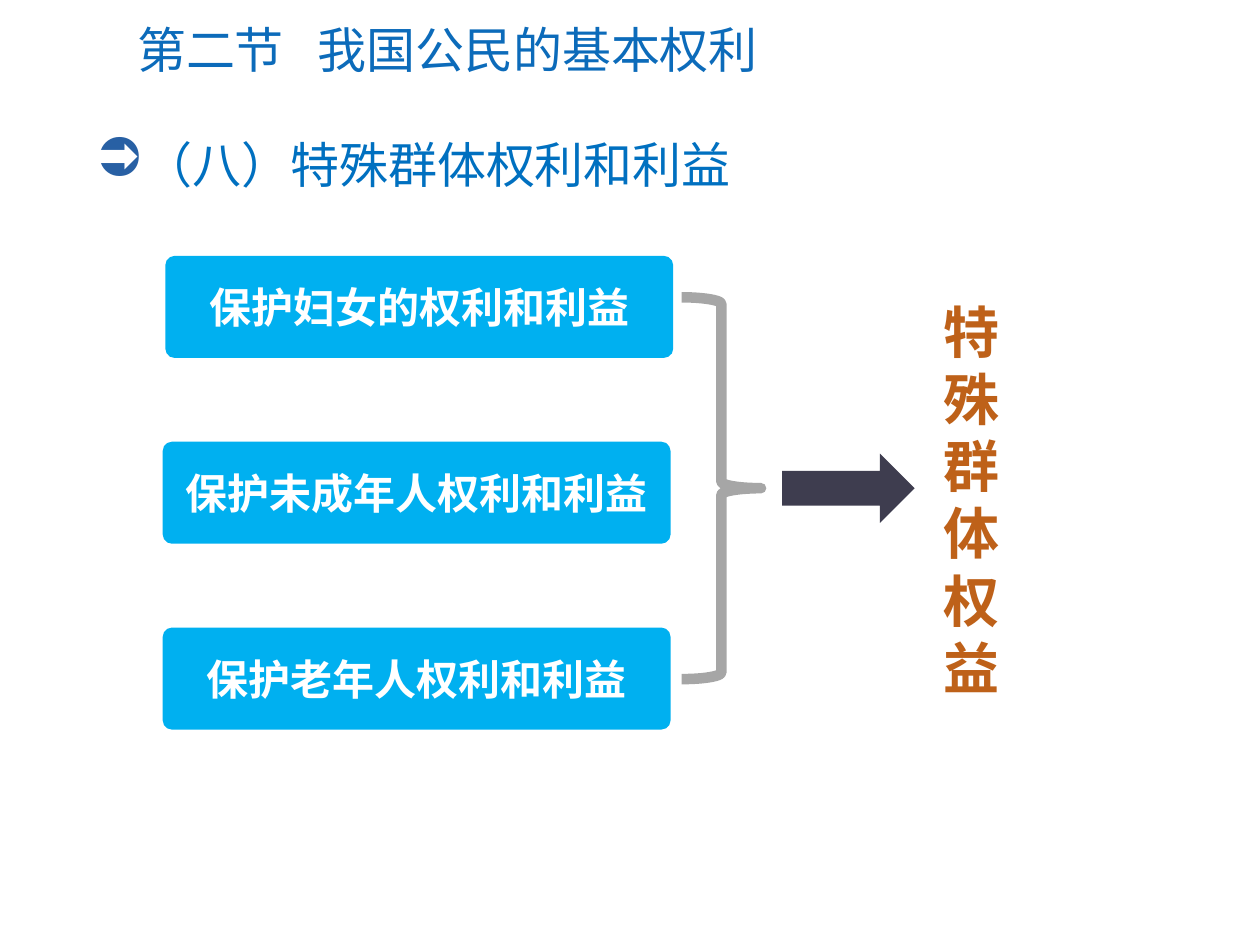
from dataclasses import dataclass

from lxml import etree
from pptx import Presentation
from pptx.dml.color import RGBColor
from pptx.enum.shapes import MSO_SHAPE
from pptx.enum.text import MSO_ANCHOR, PP_ALIGN
from pptx.oxml.ns import qn
from pptx.util import Pt

ROUNDED = MSO_SHAPE.ROUNDED_RECTANGLE
ARROW = MSO_SHAPE.RIGHT_ARROW
BRACE = MSO_SHAPE.RIGHT_BRACE
MIDDLE = MSO_ANCHOR.MIDDLE
TOP = MSO_ANCHOR.TOP
CENTER = PP_ALIGN.CENTER


@dataclass(frozen=True)
class Theme:
    title: str = "0C6BBA"
    heading: str = "0070C0"
    bullet: str = "2860A4"
    card: str = "00B0F0"
    card_text: str = "FFFFFF"
    brace: str = "A6A6A6"
    arrow: str = "3E3D4F"
    summary: str = "BE6119"
    font: str = "Calibri"
    summary_font: str = "Noto Sans CJK SC"
    heading_size: int = 28
    card_size: int = 24
    summary_size: int = 32


@dataclass(frozen=True)
class Area:
    left: float
    top: float
    width: float
    height: float

    def lengths(self):
        return Pt(self.left), Pt(self.top), Pt(self.width), Pt(self.height)


@dataclass(frozen=True)
class Card:
    text: str
    left: float


THEME = Theme()
CARDS = (
    Card("保护妇女的权利和利益", 94.5),
    Card("保护未成年人权利和利益", 93),
    Card("保护老年人权利和利益", 93),
)
CARD_TOP, CARD_PITCH = 146.2, 106.2
CARD_WIDTH, CARD_HEIGHT = 290.2, 58.3


def style(para, size: int, color: str, bold: bool = False, font: str = THEME.font):
    para.font.size = Pt(size)
    para.font.name = font
    para.font.bold = bold
    para.font.color.rgb = RGBColor.from_string(color)


def add_text(slide, area: Area, text: str, anchor=TOP):
    frame = slide.shapes.add_textbox(*area.lengths()).text_frame
    frame.word_wrap = True
    frame.vertical_anchor = anchor
    para = frame.paragraphs[0]
    para.text = text
    return para


def add_tab(para, position: float):
    tabs = etree.SubElement(para._p.get_or_add_pPr(), qn("a:tabLst"))
    etree.SubElement(tabs, qn("a:tab"), pos=str(Pt(position)), algn="l")


def add_bullet(para, symbol: str, indent: float):
    properties = para._p.get_or_add_pPr()
    properties.set("marL", str(Pt(indent)))
    properties.set("indent", str(-Pt(indent)))
    color = etree.SubElement(properties, qn("a:buClr"))
    etree.SubElement(color, qn("a:srgbClr"), val=THEME.bullet)
    etree.SubElement(properties, qn("a:buSzPct"), val="110000")
    etree.SubElement(properties, qn("a:buChar"), char=symbol)


def add_filled(slide, kind, area: Area, color: str):
    shape = slide.shapes.add_shape(kind, *area.lengths())
    shape.shadow.inherit = False
    shape.fill.solid()
    shape.fill.fore_color.rgb = RGBColor.from_string(color)
    shape.line.fill.background()
    return shape


def add_card(slide, card: Card, top: float):
    area = Area(card.left, top, CARD_WIDTH, CARD_HEIGHT)
    box = add_filled(slide, ROUNDED, area, THEME.card)
    box.adjustments[0] = 0.09
    box.text_frame.vertical_anchor = MIDDLE
    para = box.text_frame.paragraphs[0]
    para.text = card.text
    para.alignment = CENTER
    style(para, THEME.card_size, THEME.card_text, bold=True)


def add_brace(slide, area: Area):
    brace = slide.shapes.add_shape(BRACE, *area.lengths())
    brace.shadow.inherit = False
    brace.fill.background()
    brace.line.color.rgb = RGBColor.from_string(THEME.brace)
    brace.line.width = Pt(6)


def main():
    deck = Presentation()
    deck.slide_width, deck.slide_height = Pt(720), Pt(540)
    page = deck.slides.add_slide(deck.slide_layouts[6])

    title = add_text(page, Area(71.3, 7.2, 627.8, 41.8),
                     "第二节\t我国公民的基本权利", MIDDLE)
    add_tab(title, 103)
    style(title, THEME.heading_size, THEME.title)

    heading = add_text(page, Area(47.5, 73.4, 600.5, 41),
                       "（八）特殊群体权利和利益")
    add_bullet(heading, "➲", 27)
    style(heading, THEME.heading_size, THEME.heading)

    add_filled(page, ARROW, Area(447, 259.2, 75.6, 39.6), THEME.arrow)
    add_brace(page, Area(389.5, 169.9, 45.4, 218.2))
    for index, card in enumerate(CARDS):
        add_card(page, card, CARD_TOP + index * CARD_PITCH)

    summary = add_text(page, Area(532, 166.3, 41.8, 239.8), "特殊群体权益")
    summary.line_spacing = Pt(38.4)
    style(summary, THEME.summary_size, THEME.summary, bold=True,
          font=THEME.summary_font)

    deck.save("out.pptx")


if __name__ == "__main__":
    main()
